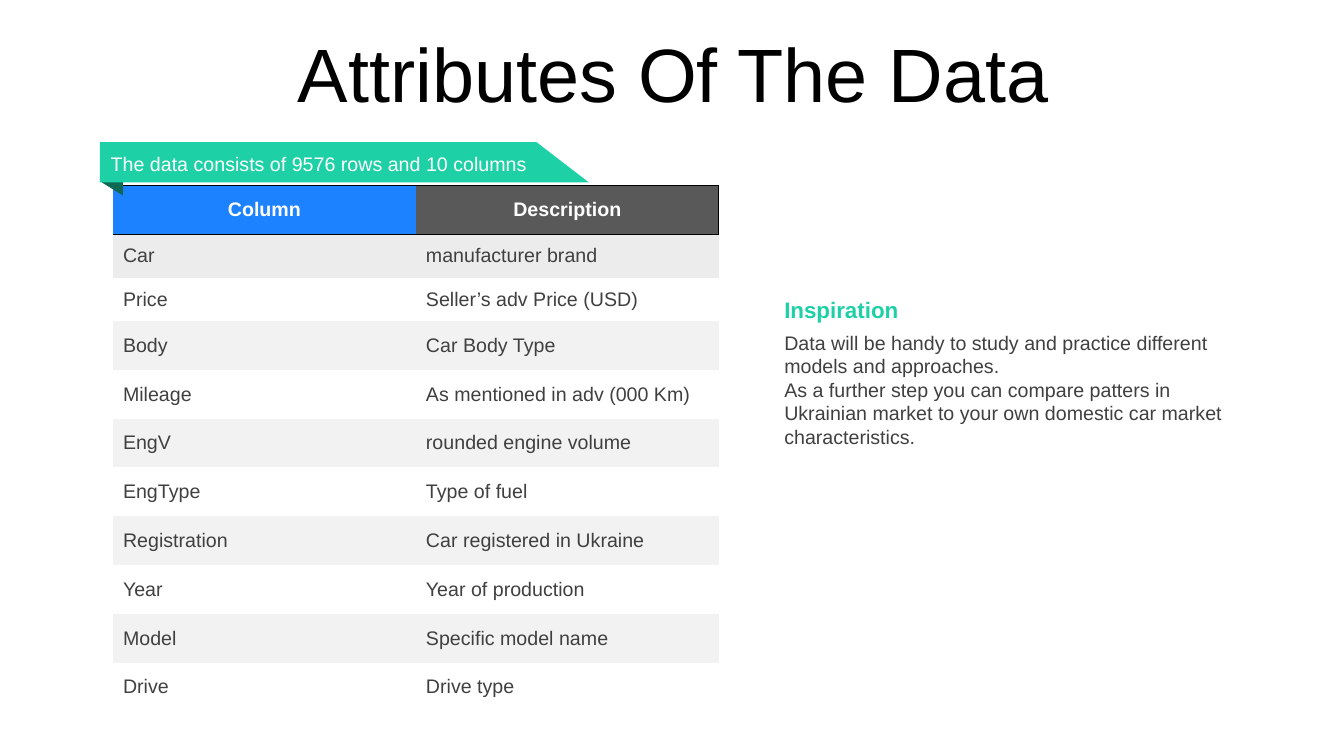
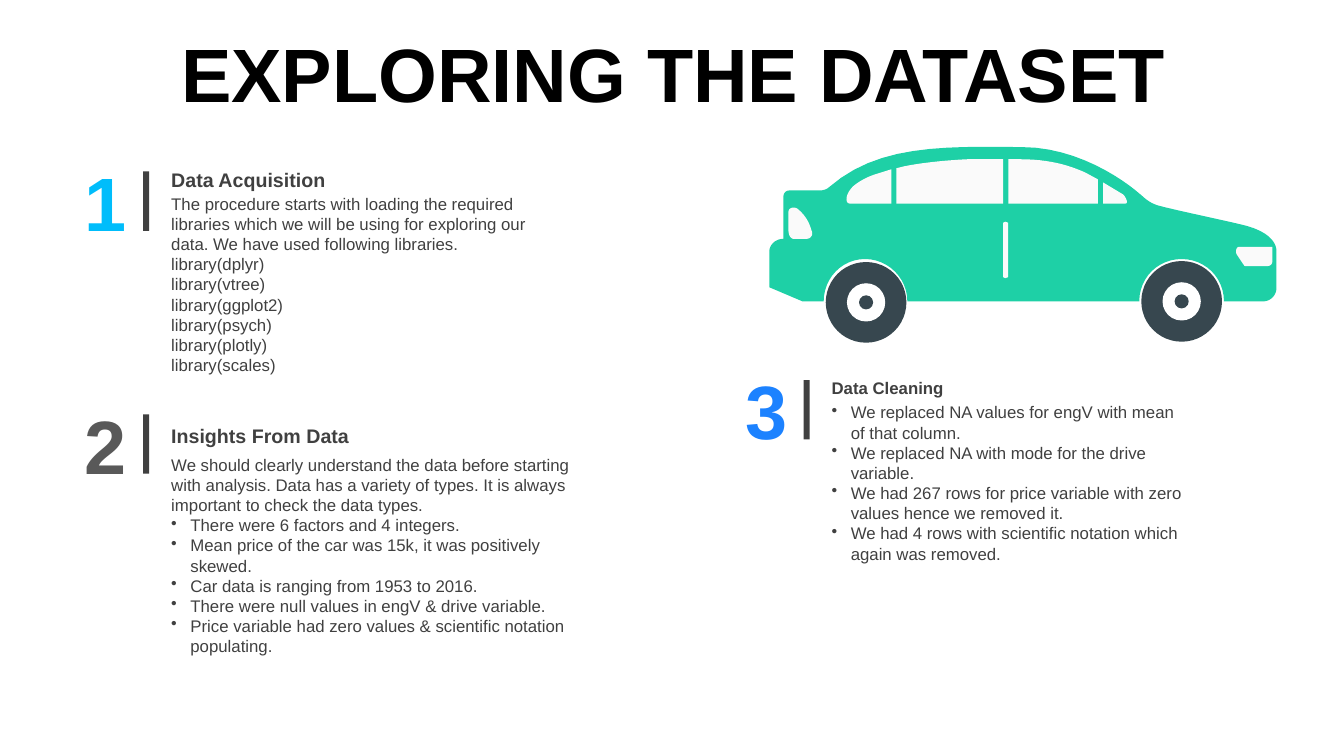
from dataclasses import dataclass

import lxml.etree
import pptx
import pptx.dml.color
import pptx.enum.shapes
import pptx.enum.text
import pptx.oxml.ns
import pptx.util

Inches = pptx.util.Inches
Pt = pptx.util.Pt
RGBColor = pptx.dml.color.RGBColor
Align = pptx.enum.text.PP_ALIGN
Anchor = pptx.enum.text.MSO_ANCHOR
Shape = pptx.enum.shapes.MSO_SHAPE
qn = pptx.oxml.ns.qn

FONT = "Arial"
BLACK = RGBColor(0x00, 0x00, 0x00)
WHITE = RGBColor(0xFF, 0xFF, 0xFF)
INK = RGBColor(0x40, 0x40, 0x40)
GREY = RGBColor(0x59, 0x59, 0x59)
SILVER = RGBColor(0xEC, 0xEC, 0xEC)
PALE = RGBColor(0xF2, 0xF2, 0xF2)
GLASS = RGBColor(0xFA, 0xFA, 0xFA)
GREEN = RGBColor(0x1E, 0xD0, 0xA6)
PINE = RGBColor(0x0F, 0x68, 0x53)
BLUE = RGBColor(0x1C, 0x82, 0xFF)
SKY = RGBColor(0x00, 0xBD, 0xFB)
SLATE = RGBColor(0x37, 0x47, 0x4F)
PLAIN_STYLE = "{2D5ABB26-0587-4C30-8999-92F81FD0307C}"

Box = tuple[float, float, float, float]

ROWS = (
    ("Column", "Description"),
    ("Car", "manufacturer brand"),
    ("Price", "Seller’s adv Price (USD)"),
    ("Body", "Car Body Type"),
    ("Mileage", "As mentioned in adv (000 Km)"),
    ("EngV", "rounded engine volume"),
    ("EngType", "Type of fuel"),
    ("Registration", "Car registered in Ukraine"),
    ("Year", "Year of production"),
    ("Model", "Specific model name"),
    ("Drive", "Drive type"),
)

# Outlines: a pair is a corner, six numbers are a Bézier curve.
FOLD = ((1.23, 1.44), (1, 1.43), (1.01, 1.81), (1.22, 1.94))
RIBBON = ((0.99, 1.41), (5.32, 1.41), (5.84, 1.81), (0.99, 1.81))
BODY = (
    (10.14, 1.46), (9.33, 1.45, 8.7, 1.44, 8.22, 1.86),
    (8.2, 1.88, 8.16, 1.89, 8.13, 1.89), (7.83, 1.89),
    (7.79, 1.89, 7.77, 1.92, 7.77, 1.96), (7.77, 2.37),
    (7.69, 2.37, 7.63, 2.43, 7.63, 2.5), (7.63, 2.85), (7.96, 2.99), (8.17, 2.99),
    (8.17, 2.76, 8.35, 2.57, 8.58, 2.57), (8.81, 2.57, 9, 2.76, 9, 2.99),
    (11.3, 2.99), (11.3, 2.75, 11.49, 2.57, 11.72, 2.57),
    (11.95, 2.57, 12.14, 2.75, 12.14, 2.99), (12.53, 2.99),
    (12.6, 2.99, 12.66, 2.93, 12.66, 2.86), (12.66, 2.5),
    (12.66, 2.5, 12.69, 2.33, 12.36, 2.24), (12.12, 2.18, 11.72, 2.1, 11.49, 2.04),
    (11.39, 2.01, 11.35, 1.96, 11.3, 1.92), (11.14, 1.78, 10.68, 1.46, 10.14, 1.46),
)
PANES = (
    ((10.94, 1.81), (11.14, 1.93), (11.16, 1.95, 11.2, 2.02, 11.16, 2.02), (10.94, 2.02)),
    ((8.84, 1.68), (8.84, 2.02), (8.43, 2.02), (8.38, 2.02, 8.38, 1.93, 8.46, 1.85),
     (8.52, 1.8, 8.59, 1.76, 8.68, 1.73)),
    ((10, 1.58), (10.11, 1.58), (10.41, 1.58, 10.6, 1.64, 10.76, 1.71), (10.89, 1.78),
     (10.89, 2.02), (10, 2.02)),
    ((9.95, 1.58), (9.95, 2.02), (8.89, 2.02), (8.89, 1.67), (8.97, 1.65),
     (9.17, 1.61, 9.4, 1.59, 9.6, 1.58)),
)
TRIM = (
    ((12.62, 2.45), (12.29, 2.45), (12.26, 2.45, 12.25, 2.5, 12.27, 2.53), (12.33, 2.62),
     (12.34, 2.63, 12.34, 2.64, 12.35, 2.64), (12.57, 2.64),
     (12.6, 2.64, 12.62, 2.62, 12.62, 2.59)),
    ((9.97, 2.2), (9.95, 2.21), (9.95, 2.75), (9.97, 2.76), (10, 2.75), (10, 2.21)),
    ((7.86, 2.06), (7.83, 2.07, 7.82, 2.08, 7.82, 2.11), (7.82, 2.28),
     (7.82, 2.33, 7.84, 2.38, 7.89, 2.37), (8, 2.37), (8.04, 2.37, 8.07, 2.33, 8.05, 2.29),
     (8.03, 2.22, 8, 2.15, 7.92, 2.08), (7.9, 2.06, 7.88, 2.06, 7.86, 2.06)),
)
HUBS = ((11.72, 2.99), (8.59, 3))
RINGS = ((0.4, SLATE), (0.19, WHITE), (0.07, SLATE))


@dataclass(frozen=True)
class Step:
    mark: str
    color: RGBColor
    left: float
    top: float
    head: str
    size: int
    head_box: tuple[float, float]  # drop below the top, height
    body_box: tuple[float, float, float]  # drop below the top, width, height
    lines: tuple[str, ...] = ()
    points: tuple[str, ...] = ()


STEPS = (
    Step("1", SKY, 0.84, 1.54, "Data Acquisition", 14, (0.07, 0.34), (0.33, 3.76, 1.92),
         lines=("The procedure starts with loading the required libraries which we will be "
                "using for exploring our data. We have used following libraries.",
                "library(dplyr)", "library(vtree)", "library(ggplot2)",
                "library(psych)", "library(plotly)", "library(scales)")),
    Step("2", GREY, 0.84, 3.95, "Insights From Data", 14, (0.2, 0.34), (0.51, 4.15, 2.32),
         lines=("We should clearly understand the data before starting with analysis. Data has "
                "a variety of types. It is always important to check the data types.",),
         points=("There were 6 factors and 4 integers.",
                 "Mean price of the car was 15k, it was positively skewed.",
                 "Car data is ranging from 1953 to 2016.",
                 "There were null values in engV & drive variable.",
                 "Price variable had zero values & scientific notation populating.")),
    Step("3", BLUE, 7.39, 3.61, "Data Cleaning", 12, (0.09, 0.3), (0.33, 3.76, 1.72),
         points=("We replaced NA values for engV with mean of that column.",
                 "We replaced NA with mode for the drive variable.",
                 "We had 267 rows for price variable with zero values hence we removed it.",
                 "We had 4 rows with scientific notation which again was removed.")),
)


def style(para, words: str, size: int, color: RGBColor, bold: bool, align) -> None:
    para.alignment = align
    run = para.add_run()
    run.text = words
    font = run.font
    font.name, font.size, font.bold = FONT, Pt(size), bold
    font.color.rgb = color


def dot(para) -> None:
    """Give the paragraph a hanging bullet."""
    props = para._p.get_or_add_pPr()
    props.set("marL", str(Inches(0.19)))
    props.set("indent", str(-Inches(0.19)))
    lxml.etree.SubElement(props, qn("a:buChar")).set("char", "•")


def text(slide, box: Box, *lines: str, points: tuple[str, ...] = (), size: int = 14,
         color: RGBColor = INK, bold: bool = False, align=Align.LEFT,
         anchor=Anchor.TOP, inset: bool = True):
    """Add a text box of plain lines followed by bulleted points."""
    frame = slide.shapes.add_textbox(*map(Inches, box)).text_frame
    frame.word_wrap = True
    frame.vertical_anchor = anchor
    if not inset:
        frame.margin_left = frame.margin_right = frame.margin_top = frame.margin_bottom = 0
    for i, words in enumerate(lines + points):
        para = frame.add_paragraph() if i else frame.paragraphs[0]
        style(para, words, size, color, bold, align)
        if i >= len(lines):
            dot(para)
    return frame


def title(slide, words: str, bold: bool = False) -> None:
    frame = text(slide, (0.35, 0.31, 12.66, 0.92), words, size=54, color=BLACK, bold=bold,
                 align=Align.CENTER, anchor=Anchor.MIDDLE)
    para = frame.paragraphs[0]
    para.line_spacing, para.space_before = 0.9, Pt(10)


def paint(shape, color: RGBColor) -> None:
    shape.shadow.inherit = False
    shape.fill.solid()
    shape.fill.fore_color.rgb = color
    shape.line.fill.background()


def form(shapes, kind, box: Box, color: RGBColor) -> None:
    paint(shapes.add_shape(kind, *map(Inches, box)), color)


def trace(outline, steps: int = 12) -> list[tuple[int, int]]:
    """Turn corners and Bézier curves into points in EMU."""
    dots = []
    for part in outline:
        if len(part) == 2:
            dots.append(part)
            continue
        knots = (dots[-1], part[:2], part[2:4], part[4:])
        for i in range(1, steps + 1):
            t = i / steps
            mix = ((1 - t) ** 3, 3 * t * (1 - t) ** 2, 3 * t * t * (1 - t), t ** 3)
            dots.append(tuple(sum(m * k[axis] for m, k in zip(mix, knots)) for axis in (0, 1)))
    return [(Inches(x), Inches(y)) for x, y in dots]


def draw(shapes, color: RGBColor, *outlines) -> None:
    """Add one freeform made of closed outlines."""
    first, *rest = map(trace, outlines)
    maker = shapes.build_freeform(*first[0])
    maker.add_line_segments(first[1:], close=True)
    for dots in rest:
        maker.move_to(*dots[0])
        maker.add_line_segments(dots[1:], close=True)
    paint(maker.convert_to_shape(), color)


def edge(cell, *sides: str) -> None:
    """Draw black borders; sides must come in schema order."""
    props = cell._tc.get_or_add_tcPr()
    for i, side in enumerate(sides):
        line = lxml.etree.Element(qn(f"a:ln{side}"), w=str(Pt(1)))
        fill = lxml.etree.SubElement(line, qn("a:solidFill"))
        lxml.etree.SubElement(fill, qn("a:srgbClr")).set("val", str(BLACK))
        props.insert(i, line)


def shade(row: int, col: int) -> RGBColor:
    if row == 0:
        return (BLUE, GREY)[col]
    if row == 1:
        return SILVER
    return PALE if row % 2 else WHITE


def grid(slide) -> None:
    width, height, short = 6.01, 5.22, 0.43
    tall = (height - 2 * short) / (len(ROWS) - 2)
    frame = slide.shapes.add_table(len(ROWS), 2, *map(Inches, (1.12, 1.84, width, height)))
    table = frame.table
    table.first_row = table.horz_banding = False
    table._tbl.tblPr.find(qn("a:tableStyleId")).text = PLAIN_STYLE
    for r, words in enumerate(ROWS):
        table.rows[r].height = Inches(short if r in (1, 2) else tall)
        for c, word in enumerate(words):
            cell = table.cell(r, c)
            cell.vertical_anchor = Anchor.MIDDLE
            cell.fill.solid()
            cell.fill.fore_color.rgb = shade(r, c)
            head = r == 0
            style(cell.text_frame.paragraphs[0], word, 14, WHITE if head else INK, head,
                  Align.CENTER if head else Align.LEFT)
    edge(table.cell(0, 0), "T", "B")
    edge(table.cell(0, 1), "R", "T", "B")


def car(slide) -> None:
    shapes = slide.shapes.add_group_shape().shapes
    draw(shapes, GREEN, BODY)
    draw(shapes, GLASS, *PANES)
    draw(shapes, GLASS, *TRIM)
    for x, y in HUBS:
        for size, color in RINGS:
            form(shapes, Shape.OVAL, (x - size, y - size, 2 * size, 2 * size), color)


def block(slide, step: Step) -> None:
    """Add a numbered heading with its bar and body."""
    left, top = step.left, step.top
    text(slide, (left, top, 0.47, 0.91), step.mark, size=54, color=step.color, bold=True,
         anchor=Anchor.MIDDLE, inset=False)
    form(slide.shapes, Shape.RECTANGLE, (left + 0.58, top + 0.16, 0.06, 0.59), INK)
    drop, height = step.head_box
    text(slide, (left + 0.76, top + drop, 3.76, height), step.head, size=step.size,
         bold=True, anchor=Anchor.MIDDLE)
    drop, width, height = step.body_box
    text(slide, (left + 0.76, top + drop, width, height), *step.lines,
         points=step.points, size=12)


def traits(slide) -> None:
    title(slide, "Attributes Of The Data")
    grid(slide)
    draw(slide.shapes, PINE, FOLD)
    draw(slide.shapes, GREEN, RIBBON)
    text(slide, (1, 1.46, 4.44, 0.34), "The data consists of 9576 rows and 10 columns",
         color=WHITE)
    text(slide, (7.68, 3.23, 4.65, 1.28),
         "Data will be handy to study and practice different models and approaches.",
         "As a further step you can compare patters in Ukrainian market to your own "
         "domestic car market characteristics.")
    text(slide, (7.68, 2.89, 4.65, 0.37), "Inspiration", size=16, color=GREEN, bold=True)


def survey(slide) -> None:
    title(slide, "EXPLORING THE DATASET", bold=True)
    car(slide)
    for step in STEPS:
        block(slide, step)


def main() -> None:
    deck = pptx.Presentation()
    deck.slide_width, deck.slide_height = Inches(13.33), Inches(7.5)
    for build in (traits, survey):
        build(deck.slides.add_slide(deck.slide_layouts[6]))
    deck.save("out.pptx")


if __name__ == "__main__":
    main()
